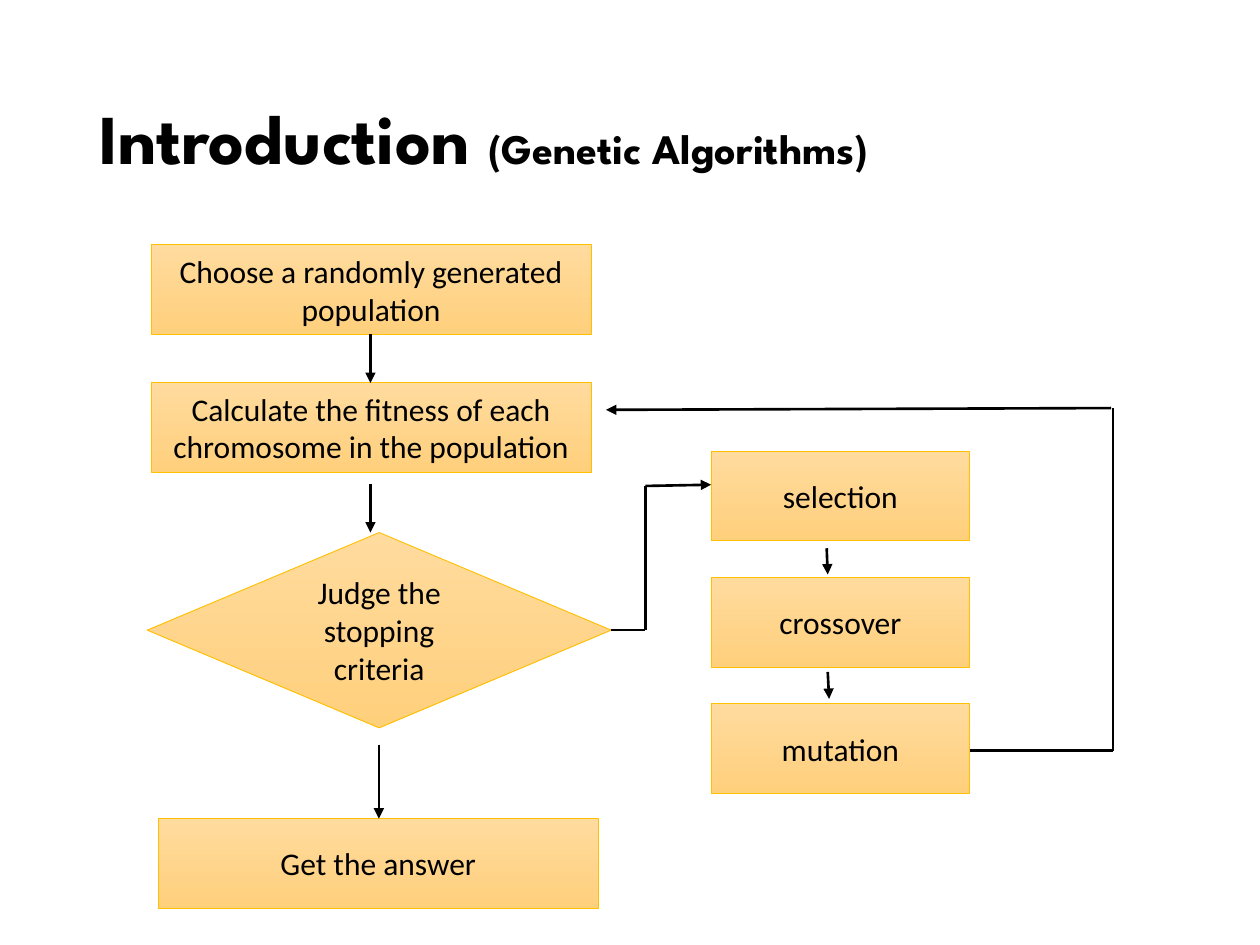
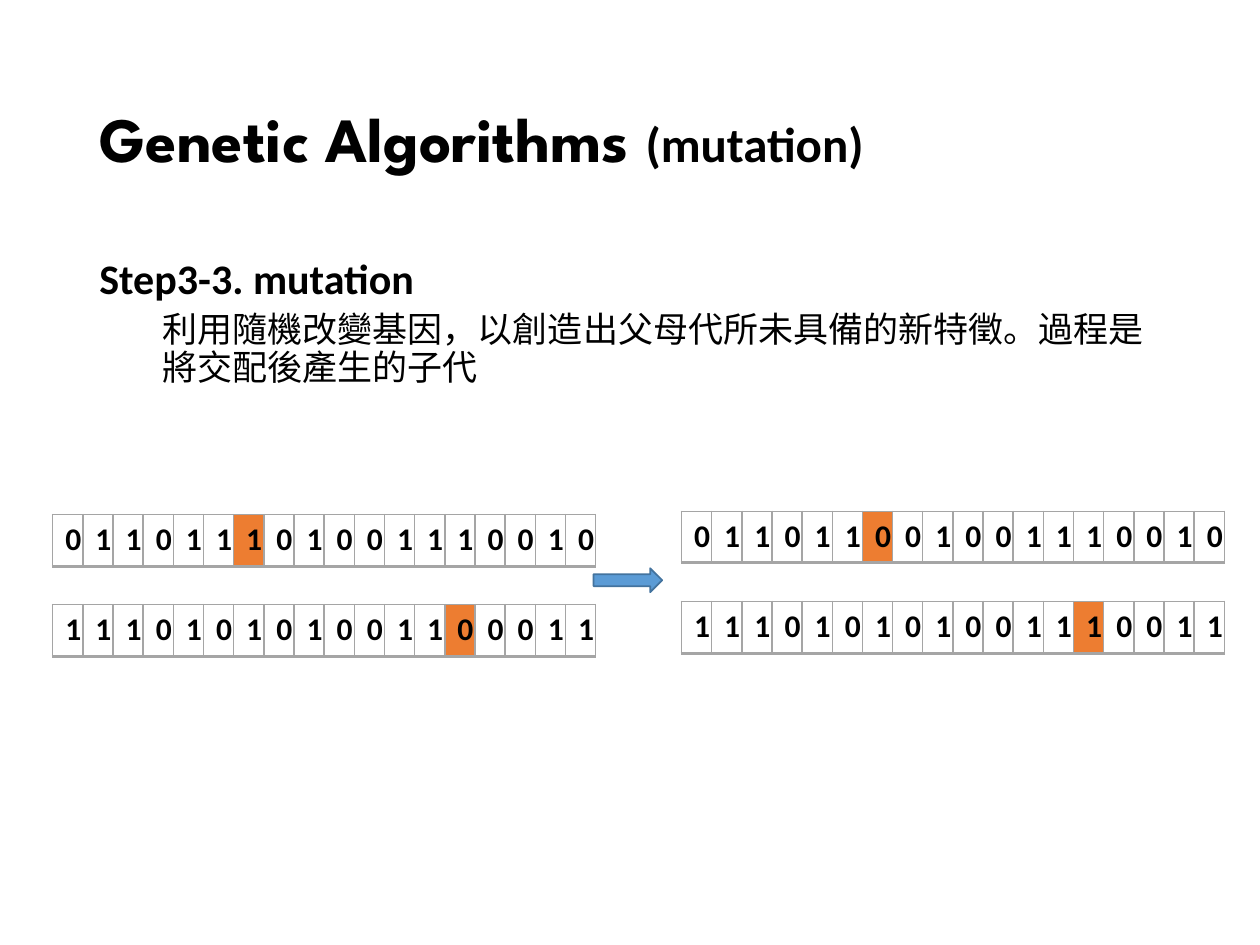
from lxml.etree import SubElement
from pptx import Presentation
from pptx.dml.color import RGBColor
from pptx.enum.shapes import MSO_CONNECTOR, MSO_SHAPE
from pptx.enum.text import MSO_ANCHOR, MSO_AUTO_SIZE, PP_ALIGN
from pptx.oxml.ns import qn
from pptx.util import Pt

BLACK = RGBColor(0x00, 0x00, 0x00)
BOX_TOP = RGBColor(0xFF, 0xDB, 0x9E)
BOX_BOTTOM = RGBColor(0xFF, 0xD0, 0x7C)
BOX_LINE = RGBColor(0xFF, 0xC0, 0x00)
GENE_LINE = RGBColor(0xA5, 0xA5, 0xA5)
MUTATED = RGBColor(0xED, 0x7D, 0x31)
ARROW_FILL = RGBColor(0x5B, 0x9B, 0xD5)
ARROW_LINE = RGBColor(0x43, 0x73, 0x9E)

TITLE_FONT = "League Spartan"
BODY_FONT = "Calibri"
MARGIN = 49.7
CONTENT_WIDTH = 620.6
BOX_HEIGHT = 51.1
GENE_WIDTH = 16.4
GENE_HEIGHT = 29.5


def add_text(para, text, size=18, font=BODY_FONT, bold=False):
    span = para.add_run()
    span.text = text
    span.font.size = Pt(size)
    span.font.name = font
    span.font.bold = bold
    span.font.color.rgb = BLACK


def add_page(deck, title, title_size, note, note_size, note_font):
    """Add a slide whose title ends in a smaller note."""
    page = deck.slides.add_slide(deck.slide_layouts[5])
    box = page.shapes.title
    box.left, box.top = Pt(MARGIN), Pt(28.8)
    box.width, box.height = Pt(CONTENT_WIDTH), Pt(104.4)
    frame = box.text_frame
    frame.auto_size = MSO_AUTO_SIZE.NONE
    frame.vertical_anchor = MSO_ANCHOR.MIDDLE
    para = frame.paragraphs[0]
    para.alignment = PP_ALIGN.LEFT
    para.line_spacing = 0.9
    add_text(para, title + " ", title_size, TITLE_FONT, bold=True)
    add_text(para, note, note_size, note_font, bold=True)
    return page


def add_step(page, text, left, top, width, height=BOX_HEIGHT,
             kind=MSO_SHAPE.FLOWCHART_PROCESS):
    box = page.shapes.add_shape(kind, Pt(left), Pt(top), Pt(width), Pt(height))
    box.shadow.inherit = False
    box.fill.gradient()
    box.fill.gradient_angle = 270
    for stop, color, position in zip(box.fill.gradient_stops, (BOX_TOP, BOX_BOTTOM), (0, 1)):
        stop.color.rgb = color
        stop.position = position
    box.line.color.rgb = BOX_LINE
    box.line.width = Pt(0.5)
    frame = box.text_frame
    frame.word_wrap = True
    frame.vertical_anchor = MSO_ANCHOR.MIDDLE
    para = frame.paragraphs[0]
    para.alignment = PP_ALIGN.CENTER
    add_text(para, text)


def add_path(page, *points, arrow=True):
    """Join the points by straight lines, the last one with an arrowhead."""
    for start, end in zip(points, points[1:]):
        line = page.shapes.add_connector(
            MSO_CONNECTOR.STRAIGHT, *(Pt(value) for value in start + end))
        line.line.color.rgb = BLACK
        line.line.width = Pt(1.5)
        SubElement(line._element.spPr, qn("a:effectLst"))
    if arrow:
        SubElement(line.line._get_or_add_ln(), qn("a:tailEnd"), type="triangle")


def set_borders(cell):
    properties = cell._tc.get_or_add_tcPr()
    for side, width in (("L", 1), ("R", 1), ("T", 1), ("B", 2)):
        border = SubElement(properties, qn(f"a:ln{side}"), w=str(Pt(width)))
        fill = SubElement(border, qn("a:solidFill"))
        SubElement(fill, qn("a:srgbClr"), val=str(GENE_LINE))


def add_chromosome(page, genes, mutated, left, top):
    """Draw the genes as a one-row table with the mutated one marked."""
    table = page.shapes.add_table(
        1, len(genes), Pt(left), Pt(top),
        Pt(GENE_WIDTH * len(genes)), Pt(GENE_HEIGHT)).table
    table.first_row = False
    table.horz_banding = False
    for index, gene in enumerate(genes):
        table.columns[index].width = Pt(GENE_WIDTH)
        cell = table.cell(0, index)
        set_borders(cell)
        if index == mutated:
            cell.fill.solid()
            cell.fill.fore_color.rgb = MUTATED
        else:
            cell.fill.background()
        para = cell.text_frame.paragraphs[0]
        para.alignment = PP_ALIGN.CENTER
        add_text(para, gene, bold=True)


def add_explanation(page, heading, text):
    box = page.shapes.add_textbox(Pt(MARGIN), Pt(144), Pt(CONTENT_WIDTH), Pt(342.7))
    frame = box.text_frame
    frame.word_wrap = True
    para = frame.paragraphs[0]
    para.line_spacing = 0.9
    add_text(para, heading, 24, bold=True)
    para = frame.add_paragraph()
    para.level = 1
    para._p.get_or_add_pPr().set("marL", str(Pt(36)))
    para.line_spacing = 0.9
    para.space_before = Pt(5)
    add_text(para, text, 20, "Arial")


def add_block_arrow(page, left, top, width, height):
    arrow = page.shapes.add_shape(
        MSO_SHAPE.RIGHT_ARROW, Pt(left), Pt(top), Pt(width), Pt(height))
    arrow.shadow.inherit = False
    arrow.fill.solid()
    arrow.fill.fore_color.rgb = ARROW_FILL
    arrow.line.color.rgb = ARROW_LINE
    arrow.line.width = Pt(1)


def build_flowchart(deck):
    page = add_page(deck, "Introduction", 40, "(Genetic Algorithms)", 24, TITLE_FONT)
    add_step(page, "Choose a randomly generated population", 86.4, 139.9, 251.3)
    add_step(page, "Calculate the fitness of each chromosome in the population",
             86.4, 218.6, 251.3)
    for row, operator in enumerate(("selection", "crossover", "mutation")):
        add_step(page, operator, 406.4, 257.8 + 72.2 * row, 147.6)
    add_step(page, "Judge the stopping criteria", 84.2, 304.3, 265, 111.6,
             MSO_SHAPE.FLOWCHART_DECISION)
    add_step(page, "Get the answer", 90.5, 467.8, 251.3)

    add_path(page, (349, 360), (368.8, 360), (368.8, 277.7), (406.4, 277))
    add_path(page, (554.2, 429), (636, 429), (636, 233.2), arrow=False)
    add_path(page, (635, 233.2), (346.3, 234.2))
    add_path(page, (472.4, 313.3), (473, 328.3))
    add_path(page, (473, 384), (473.8, 399.4))
    add_path(page, (211.7, 191), (211.7, 218.9))
    add_path(page, (211.7, 276.5), (211.7, 304.3))
    add_path(page, (216.5, 425.5), (216.5, 467.8))


def build_mutation(deck):
    page = add_page(deck, "Genetic Algorithms", 36, "(mutation)", 28, BODY_FONT)
    add_explanation(page, "Step3-3. mutation",
                    "利用隨機改變基因，以創造出父母代所未具備的新特徵。過程是將交配後產生的子代")
    parents = (("011011101001110010", 6), ("111010101001100011", 13))
    for row, (genes, spot) in enumerate(parents):
        flipped = "0" if genes[spot] == "1" else "1"
        child = genes[:spot] + flipped + genes[spot + 1:]
        add_chromosome(page, genes, spot, 30.1, 294 + 51.5 * row)
        add_chromosome(page, child, spot, 389.4, 292.2 + 51.5 * row)
    add_block_arrow(page, 339.2, 324.7, 39.2, 13.7)


def main():
    deck = Presentation()
    deck.slide_width, deck.slide_height = Pt(720), Pt(540)
    build_flowchart(deck)
    build_mutation(deck)
    deck.save("out.pptx")


if __name__ == "__main__":
    main()
